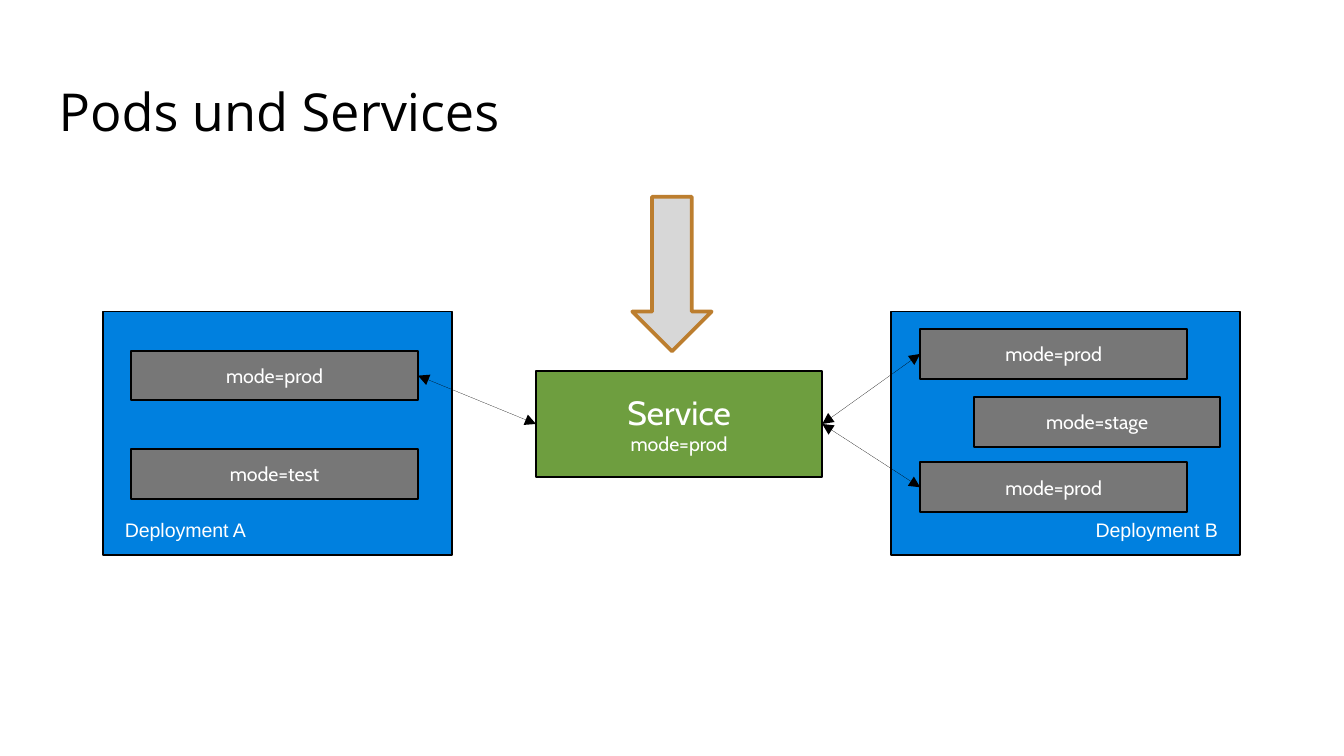
"""Build the slide on pods and services."""
from dataclasses import dataclass

from lxml.etree import SubElement
from pptx import Presentation
from pptx.dml.color import RGBColor
from pptx.enum.shapes import MSO_CONNECTOR, MSO_SHAPE
from pptx.enum.text import MSO_ANCHOR, MSO_AUTO_SIZE, PP_ALIGN
from pptx.oxml.ns import qn
from pptx.shapes.autoshape import Shape
from pptx.slide import Slide
from pptx.util import Cm, Pt


@dataclass(frozen=True)
class Theme:
    """Colours, fonts and type sizes."""
    black: str = "000000"
    white: str = "FFFFFF"
    blue: str = "0080DF"
    green: str = "6E9E3F"
    grey: str = "777777"
    pale: str = "D7D7D7"
    brown: str = "BC7E2F"
    head: str = "Open Sans"
    body: str = "Cabin"
    label: str = "Arial"
    large: float = 28
    mid: float = 18
    small: float = 10.5


THEME = Theme()


@dataclass(frozen=True)
class Box:
    """A filled shape, in centimetres, with optional lines of text."""
    left: float
    top: float
    width: float
    height: float
    fill: str
    lines: tuple[str, ...] = ()
    sizes: tuple[float, ...] = ()
    line: str = THEME.black
    weight: float = 1
    kind: MSO_SHAPE = MSO_SHAPE.RECTANGLE


@dataclass(frozen=True)
class Label:
    """A free text, in centimetres."""
    text: str
    left: float
    top: float
    width: float
    height: float
    font: str
    size: float
    color: str
    align: PP_ALIGN = PP_ALIGN.LEFT
    wrap: bool = False


def pod(left: float, top: float, width: float, mode: str) -> Box:
    """Describe one pod."""
    return Box(left, top, width, 0.94, THEME.grey, (f"mode={mode}",), (THEME.small,))


def group(left: float) -> Box:
    """Describe the frame of one deployment."""
    return Box(left, 5.89, 6.6, 4.6, THEME.blue)


def style(shape: Shape, sizes: tuple[float, ...], font: str, color: str,
          align: PP_ALIGN) -> None:
    """Format each paragraph of a shape."""
    for para, size in zip(shape.text_frame.paragraphs, sizes):
        para.alignment = align
        for run in para.runs:
            run.font.name = font
            run.font.size = Pt(size)
            run.font.color.rgb = RGBColor.from_string(color)


def draw_box(slide: Slide, box: Box) -> Shape:
    """Draw a filled shape."""
    shape = slide.shapes.add_shape(
        box.kind, Cm(box.left), Cm(box.top), Cm(box.width), Cm(box.height))
    shape.shadow.inherit = False
    shape.fill.solid()
    shape.fill.fore_color.rgb = RGBColor.from_string(box.fill)
    shape.line.color.rgb = RGBColor.from_string(box.line)
    shape.line.width = Pt(box.weight)
    if box.lines:
        shape.text_frame.text = "\n".join(box.lines)
        shape.text_frame.word_wrap = True
        shape.text_frame.vertical_anchor = MSO_ANCHOR.MIDDLE
        style(shape, box.sizes, THEME.body, THEME.white, PP_ALIGN.CENTER)
    return shape


def draw_label(slide: Slide, label: Label) -> None:
    """Draw a free text."""
    shape = slide.shapes.add_textbox(
        Cm(label.left), Cm(label.top), Cm(label.width), Cm(label.height))
    frame = shape.text_frame
    frame.text = label.text
    frame.word_wrap = label.wrap
    if label.wrap:
        frame.vertical_anchor = MSO_ANCHOR.MIDDLE
    else:
        frame.auto_size = MSO_AUTO_SIZE.SHAPE_TO_FIT_TEXT
    style(shape, (label.size,), label.font, label.color, label.align)


def link(slide: Slide, start: Shape, side: int, end: Shape, goal: int) -> None:
    """Join two shapes with a thin double arrow."""
    line = slide.shapes.add_connector(MSO_CONNECTOR.STRAIGHT, 0, 0, 0, 0)
    line.begin_connect(start, side)
    line.end_connect(end, goal)
    line.line.color.rgb = RGBColor.from_string(THEME.black)
    edge = line.line._get_or_add_ln()
    for tip in ("a:headEnd", "a:tailEnd"):
        SubElement(edge, qn(tip), type="triangle")
    SubElement(line._element.spPr, qn("a:effectLst"))
    line._element.remove(line._element.find(qn("p:style")))


def main() -> None:
    """Build and save the slide."""
    deck = Presentation()
    deck.slide_width, deck.slide_height = Cm(25.4), Cm(14.29)
    slide = deck.slides.add_slide(deck.slide_layouts[6])

    draw_label(slide, Label("Pods und Services", 0.86, 1.24, 21.34, 1.7,
                            THEME.head, THEME.large, THEME.black, wrap=True))
    draw_box(slide, group(16.84))
    hub = draw_box(slide, Box(10.13, 7.01, 5.41, 2.01, THEME.green,
                              ("Service", "mode=prod"), (THEME.mid, THEME.small)))
    upper = draw_box(slide, pod(17.39, 6.22, 5.05, "prod"))
    draw_box(slide, pod(18.41, 7.51, 4.65, "stage"))
    lower = draw_box(slide, pod(17.39, 8.74, 5.05, "prod"))
    draw_box(slide, group(1.95))
    first = draw_box(slide, pod(2.48, 6.63, 5.42, "prod"))
    draw_box(slide, pod(2.48, 8.49, 5.42, "test"))

    link(slide, hub, 1, first, 3)
    for target in (upper, lower):
        link(slide, hub, 3, target, 1)

    for text, left, align in (("Deployment A", 2.11, PP_ALIGN.LEFT),
                              ("Deployment B", 20.37, PP_ALIGN.RIGHT)):
        draw_label(slide, Label(text, left, 9.67, 2.9, 0.69, THEME.label,
                                THEME.small, THEME.white, align))
    draw_box(slide, Box(11.95, 3.72, 1.5, 2.92, THEME.pale, line=THEME.brown,
                        weight=2, kind=MSO_SHAPE.DOWN_ARROW))
    deck.save("out.pptx")


if __name__ == "__main__":
    main()
